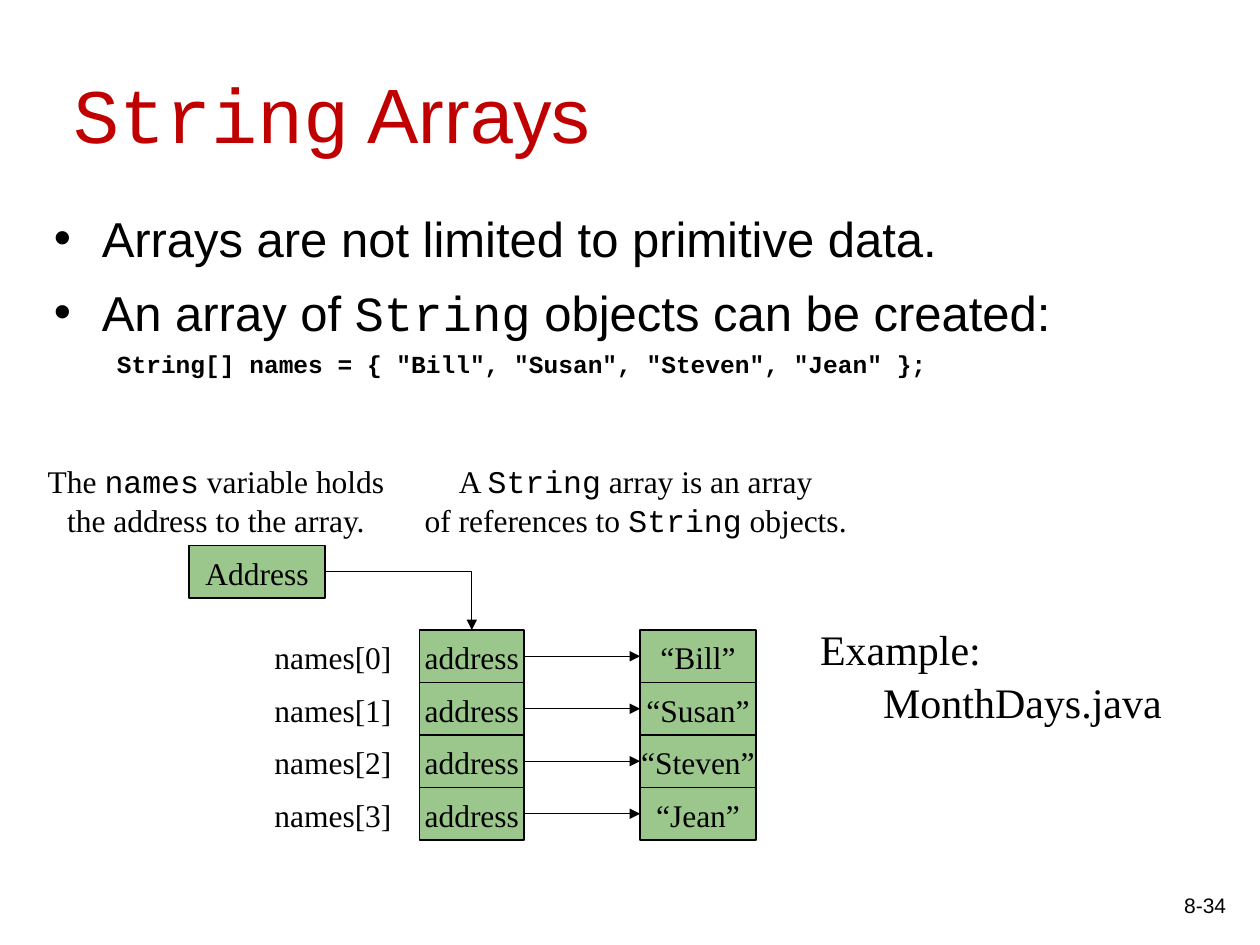
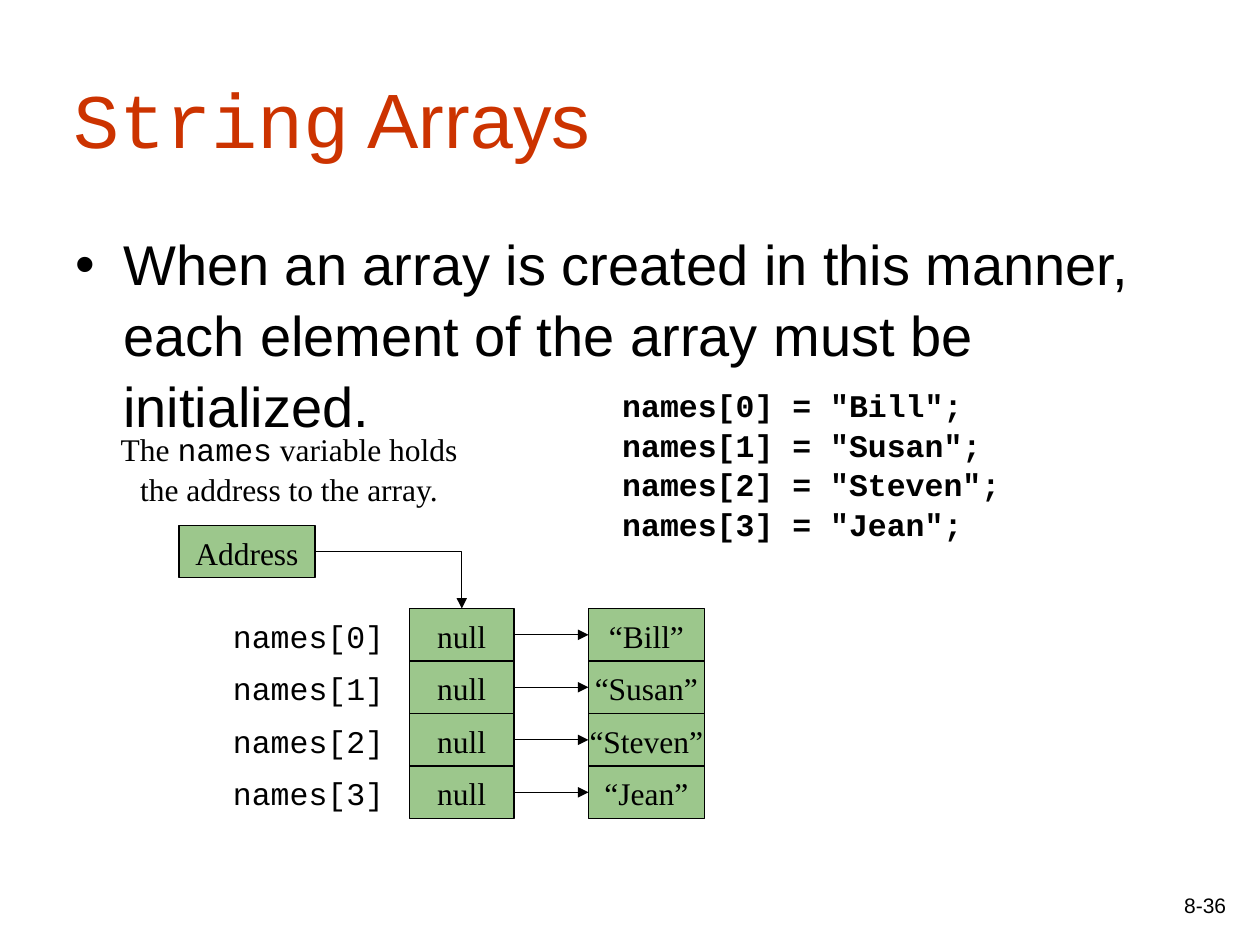
from lxml import etree
from pptx import Presentation
from pptx.dml.color import RGBColor
from pptx.enum import shapes, text
from pptx.oxml.ns import qn
from pptx.util import Inches, Pt

SANS, SERIF, MONO = "Arial", "Times New Roman", "Courier New"
BLACK, GREEN = "000000", "9CC78C"
LINE_SPACING = 1.05
ROW_H = 5 / 12
ADDRESS_W, ELEMENT_W, STRING_W = 1.08, 0.83, 0.92
NAMES = ["Bill", "Susan", "Steven", "Jean"]

# Text between backticks is set in the code font.
TITLE = "`String` Arrays"
HOLDS = ["The `names` variable holds", "the address to the array."]

SLIDES = [
    dict(
        number="8-34", title_color="C00000", title_box=(0.5, 0.3, 9, 0.96),
        body_box=(0.33, 1.58, 9, 1.84), body_size=28,
        bullets=["Arrays are not limited to primitive data.",
                 "An array of `String` objects can be created:"],
        code='String[] names = { "Bill", "Susan", "Steven", "Jean" };',
        notes=[
            (HOLDS, (0.28, 3.6, 2.87, 0.7), dict(align="c")),
            (["A `String` array is an array", "of references to `String` objects."],
             (3.27, 3.6, 3.55, 0.7), dict(align="c")),
            (["Example:\vMonthDays.java"], (6.41, 4.88, 2.91, 0.9),
             dict(size=24, indent=0.5)),
        ],
        address=(1.5, 4.33), top=5, labels=(2.08, 1.27, SERIF),
        elements=(3.33, "address"), strings_x=5.08,
    ),
    dict(
        number="8-36", title_color="CC3300", title_box=(0.5, 0.33, 9, 0.97),
        body_box=(0.5, 1.75, 9, 1.76), body_size=32,
        bullets=["When an array is created in this manner, "
                 "each element of the array must be initialized."],
        code=None,
        notes=[
            (HOLDS, (0.86, 3.35, 2.87, 0.7), dict(align="c")),
            ([f'names[{i}] = "{name}";' for i, name in enumerate(NAMES)],
             (4.84, 3, 3.2, 1.3), dict(font=MONO, bold=True)),
        ],
        address=(1.42, 4.17), top=4.83, labels=(1.75, 1.52, MONO),
        elements=(3.25, "null"), strings_x=4.67,
    ),
]

ALIGN = {"l": text.PP_ALIGN.LEFT, "c": text.PP_ALIGN.CENTER, "r": text.PP_ALIGN.RIGHT}
ANCHOR = {"t": text.MSO_ANCHOR.TOP, "m": text.MSO_ANCHOR.MIDDLE,
          "b": text.MSO_ANCHOR.BOTTOM}


def rgb(color):
    return RGBColor.from_string(color)


def add_paragraph(tf, line, font=SERIF, size=18, color=BLACK, bold=False, align="l",
                  left=0, indent=0, before=0, bullet=False):
    """Fill the empty first paragraph, or append one; indent is a hanging indent."""
    p = tf.paragraphs[0] if not tf.paragraphs[0].runs else tf.add_paragraph()
    p.alignment = ALIGN[align]
    p.line_spacing = LINE_SPACING
    p.space_before = Pt(before)
    pPr = p._p.get_or_add_pPr()
    pPr.set("marL", str(Inches(left + indent)))
    pPr.set("indent", str(-Inches(indent)))
    if bullet:
        etree.SubElement(pPr, qn("a:buFont")).set("typeface", SANS)
        etree.SubElement(pPr, qn("a:buChar")).set("char", "•")
    for i, part in enumerate(line.split("`")):
        for j, piece in enumerate(part.split("\v")):
            if j:
                p.add_line_break()
            if piece:
                r = p.add_run()
                r.text = piece
                r.font.name = MONO if i % 2 else font
                r.font.size = Pt(size)
                r.font.bold = bold
                r.font.color.rgb = rgb(color)


def set_frame(sp, anchor="t", wrap=True, insets=(0.1, 0.05, 0.1, 0.05)):
    tf = sp.text_frame
    tf.word_wrap = wrap
    tf.vertical_anchor = ANCHOR[anchor]
    (tf.margin_left, tf.margin_top,
     tf.margin_right, tf.margin_bottom) = map(Inches, insets)
    return tf


def add_text(slide, lines, box, anchor="t", wrap=True,
             insets=(0.1, 0.05, 0.1, 0.05), **fmt):
    sp = slide.shapes.add_textbox(*map(Inches, box))
    tf = set_frame(sp, anchor, wrap, insets)
    for line in lines:
        add_paragraph(tf, line, **fmt)
    return tf


def add_cell(slide, label, x, y, w):
    sp = slide.shapes.add_shape(shapes.MSO_SHAPE.RECTANGLE,
                                *map(Inches, (x, y, w, ROW_H)))
    sp.shadow.inherit = False
    sp.fill.solid()
    sp.fill.fore_color.rgb = rgb(GREEN)
    sp.line.color.rgb = rgb(BLACK)
    sp.line.width = Pt(0.75)
    add_paragraph(set_frame(sp, "m", wrap=False), label, align="c")
    return sp


def add_arrow(slide, start, end, end_site, bent=False):
    """Arrow from the right side of start to a side of end."""
    kind = shapes.MSO_CONNECTOR.ELBOW if bent else shapes.MSO_CONNECTOR.STRAIGHT
    cxn = slide.shapes.add_connector(kind, 0, 0, 0, 0)
    cxn.begin_connect(start, 3)
    cxn.end_connect(end, end_site)
    cxn.line.color.rgb = rgb(BLACK)
    cxn.line.width = Pt(0.75)
    spPr = cxn._element.spPr
    if bent:
        spPr.find(qn("a:prstGeom")).set("prst", "bentConnector2")
    etree.SubElement(spPr.find(qn("a:ln")), qn("a:tailEnd")).set("type", "triangle")
    etree.SubElement(spPr, qn("a:effectLst"))


def add_array_diagram(slide, d):
    address = add_cell(slide, "Address", *d["address"], ADDRESS_W)
    label_x, label_w, label_font = d["labels"]
    element_x, element_text = d["elements"]
    for i, name in enumerate(NAMES):
        y = d["top"] + i * ROW_H
        add_text(slide, [f"names[{i}]"], (label_x, y, label_w, 0.4), font=label_font)
        element = add_cell(slide, element_text, element_x, y, ELEMENT_W)
        string = add_cell(slide, f"“{name}”", d["strings_x"], y, STRING_W)
        add_arrow(slide, element, string, 1)
        if i == 0:
            add_arrow(slide, address, element, 0, bent=True)


def build_slide(prs, d):
    slide = prs.slides.add_slide(prs.slide_layouts[6])
    add_text(slide, [d["number"]], (7.75, 6.83, 2.08, 0.5), anchor="b",
             font=SANS, size=12, align="r")
    add_text(slide, [TITLE], d["title_box"], anchor="b", insets=(0.08, 0, 0.08, 0),
             font=SANS, size=44, color=d["title_color"])
    tf = add_text(slide, d["bullets"], d["body_box"], insets=(0.1, 0.05, 0, 0.05),
                  font=SANS, size=d["body_size"], indent=0.38, before=7, bullet=True)
    if d["code"]:
        add_paragraph(tf, d["code"], font=MONO, size=14, bold=True,
                      left=0.5, before=3.5)
    for lines, box, fmt in d["notes"]:
        add_text(slide, lines, box, wrap=False, **fmt)
    add_array_diagram(slide, d)


def main():
    prs = Presentation()
    prs.slide_width, prs.slide_height = Inches(10), Inches(7.5)
    for d in SLIDES:
        build_slide(prs, d)
    prs.save("out.pptx")


if __name__ == "__main__":
    main()
